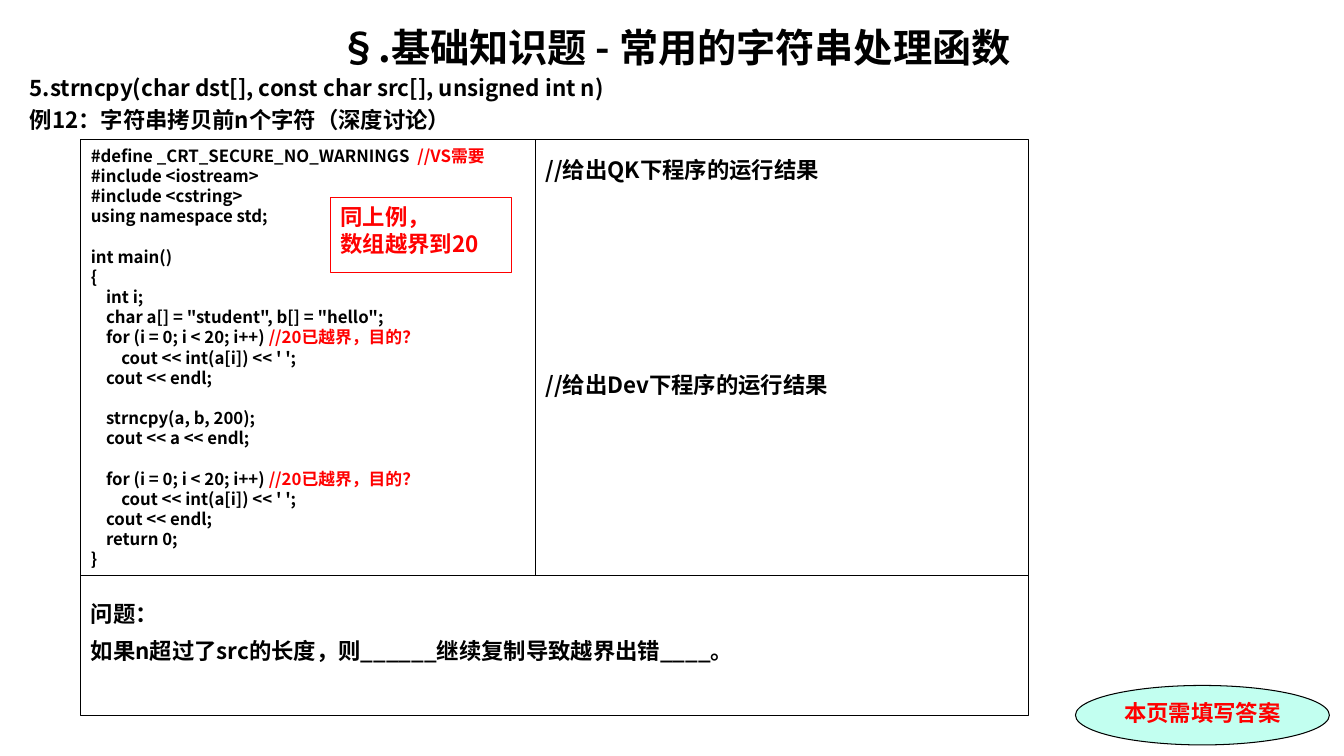
from lxml.etree import SubElement
from pptx import Presentation
from pptx.dml.color import RGBColor
from pptx.enum.shapes import MSO_SHAPE
from pptx.enum.text import MSO_ANCHOR, MSO_AUTO_SIZE, PP_ALIGN
from pptx.oxml.ns import qn
from pptx.util import Pt

# Content: a line is a string or a list of (text, colour) runs; None is a gap
SANS, SERIF = "Noto Sans CJK SC", "Times New Roman"
BLACK, RED, MINT = "000000", "FF0000", "C2FFF0"

TITLE = ["§.基础知识题 - 常用的字符串处理函数"]
HEAD = [
    "5.strncpy(char dst[], const char src[], unsigned int n)",
    "例12：字符串拷贝前n个字符（深度讨论）",
]
LOOP = [
    [("    for (i = 0; i < 20; i++) ", BLACK), ("//20已越界，目的？", RED)],
    "        cout << int(a[i]) << ' ';",
    "    cout << endl;",
]
CODE = [
    [("#define _CRT_SECURE_NO_WARNINGS", BLACK), ("  //VS需要", RED)],
    "#include <iostream>",
    "#include <cstring>",
    "using namespace std;",
    None,
    "int main()",
    "{",
    "    int i;",
    '    char a[] = "student", b[] = "hello";',
    *LOOP,
    None,
    "    strncpy(a, b, 200);",
    "    cout << a << endl;",
    None,
    *LOOP,
    "    return 0;",
    "}",
]
RESULT = ["//给出QK下程序的运行结果", *[None] * 7, "//给出Dev下程序的运行结果"]
ASK = ["问题：", "如果n超过了src的长度，则______继续复制导致越界出错____。"]
NOTE = ["同上例，", "数组越界到20"]
BADGE = ["本页需填写答案"]

# Frame of the three joined panels
LEFT, TOP, MID, RIGHT = 57.8, 99.5, 382.7, 734.6
SPLIT, BOTTOM = 411.1, 511.2


def paint(part, color):
    part.rgb = RGBColor.from_string(color)


def write(shape, lines, size=16, color=BLACK, font=SANS, align=PP_ALIGN.LEFT,
          anchor=MSO_ANCHOR.TOP, top=0, base=0, gap=0, wrap=False):
    frame = shape.text_frame
    frame.auto_size = MSO_AUTO_SIZE.NONE
    frame.word_wrap = wrap
    frame.vertical_anchor = anchor
    frame.margin_left = frame.margin_right = Pt(7.2)
    frame.margin_top, frame.margin_bottom = Pt(top), Pt(base)
    pitch = 1.2 * size
    para, skip = None, 0
    for line in lines:
        if line is None:
            skip += pitch
            continue
        first = para is None
        para = frame.paragraphs[0] if first else frame.add_paragraph()
        para.alignment = align
        para.line_spacing = Pt(pitch)
        para.space_before = Pt(0 if first else gap + skip)
        skip = 0
        for text, tint in [(line, color)] if isinstance(line, str) else line:
            run = para.add_run()
            run.text = text
            run.font.size, run.font.bold = Pt(size), True
            run.font.name = font
            paint(run.font.color, tint)
            east = SubElement(run.font._element, qn("a:ea"))
            east.set("typeface", SANS)


def draw(kind, x, y, w, h, line=BLACK, fill=None):
    shape = slide.shapes.add_shape(kind, Pt(x), Pt(y), Pt(w), Pt(h))
    shape.shadow.inherit = False
    if fill:
        shape.fill.solid()
        paint(shape.fill.fore_color, fill)
    else:
        shape.fill.background()
    paint(shape.line.color, line)
    shape.line.width = Pt(0.75)
    return shape


deck = Presentation()
deck.slide_width, deck.slide_height = Pt(960), Pt(540)
slide = deck.slides.add_slide(deck.slide_layouts[5])

# Title and heading lines
title = slide.shapes.title
title.left, title.top, title.width, title.height = Pt(14.4), Pt(16.6), Pt(935.3), Pt(34)
write(title, TITLE, size=28, align=PP_ALIGN.CENTER, wrap=True)
head = slide.shapes.add_textbox(Pt(14.2), Pt(52.9), Pt(935.3), Pt(44))
write(head, HEAD, gap=3.7, wrap=True)

# Badge in the corner
badge = draw(MSO_SHAPE.OVAL, 768.2, 489.6, 181.4, 42.5, fill=MINT)
write(badge, BADGE, color=RED, font=SERIF, align=PP_ALIGN.CENTER,
      anchor=MSO_ANCHOR.MIDDLE, base=4)

# Code, question and result panels
RECT = MSO_SHAPE.RECTANGLE
code = draw(RECT, LEFT, TOP, MID - LEFT, SPLIT - TOP)
write(code, CODE, size=12, top=4.6)
ask = draw(RECT, LEFT, SPLIT, RIGHT - LEFT, BOTTOM - SPLIT)
write(ask, ASK, top=17.6, gap=7)
result = draw(RECT, MID, TOP, RIGHT - MID, SPLIT - TOP)
write(result, RESULT, top=12)

# Red note over the code
note = draw(RECT, 236.2, 141.1, 128.9, 53.3, line=RED)
write(note, NOTE, color=RED, top=3.8)

deck.save("out.pptx")
